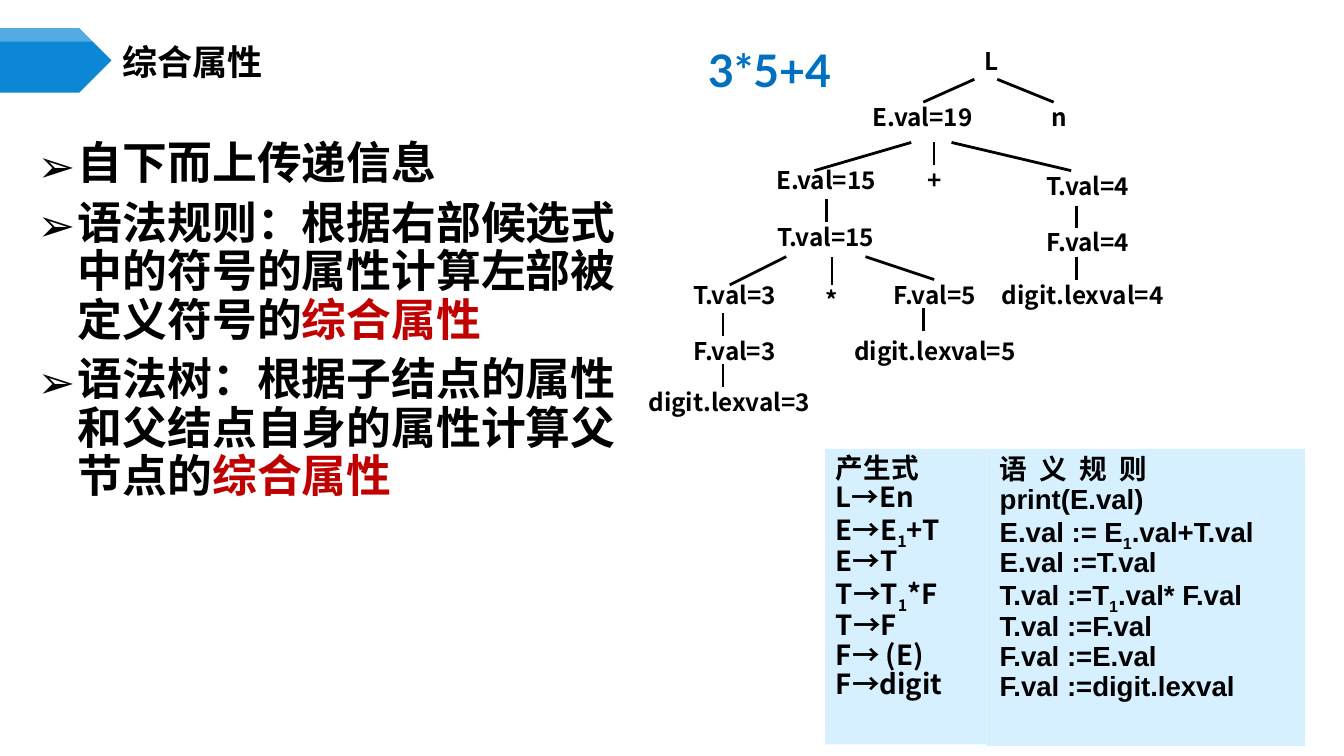
from lxml import etree
from pptx import Presentation
from pptx.dml.color import RGBColor
from pptx.enum.shapes import MSO_CONNECTOR, MSO_SHAPE
from pptx.enum.text import MSO_ANCHOR, PP_ALIGN
from pptx.oxml.ns import qn
from pptx.util import Pt

PX = 4572
LINE = MSO_CONNECTOR.STRAIGHT
RECT = MSO_SHAPE.RECTANGLE
TOP, MID = MSO_ANCHOR.TOP, MSO_ANCHOR.MIDDLE
LEFT, MIDDLE = PP_ALIGN.LEFT, PP_ALIGN.CENTER
BLACK, RED, BLUE, PALE = "000000", "C00000", "0070C0", "D6F0FF"
SANS = "Noto Sans CJK SC"


def hue(code):
    return RGBColor.from_string(code)


def write(box, rows, size, font, pad=(20, 10), anchor=TOP, align=LEFT,
          wrap=True, space=None, indent=0, bullet=None, color=BLACK, gap=0,
          asian=None):
    frame = box.text_frame
    frame.word_wrap = wrap
    frame.vertical_anchor = anchor
    frame.margin_left = frame.margin_right = pad[0] * PX
    frame.margin_top = frame.margin_bottom = pad[1] * PX
    for i, row in enumerate(rows):
        para = frame.add_paragraph() if i else frame.paragraphs[0]
        para.alignment = align
        if space:
            para.line_spacing = space
        if i and gap:
            para.space_before = Pt(gap)
        props = para._p.get_or_add_pPr()
        if indent:
            props.set("marL", str(indent * PX))
            props.set("indent", str(-indent * PX))
        if bullet:
            tint = etree.SubElement(props, qn("a:buClr"))
            etree.SubElement(tint, qn("a:srgbClr")).set("val", BLACK)
            etree.SubElement(props, qn("a:buFont")).set("typeface", SANS)
            etree.SubElement(props, qn("a:buChar")).set("char", bullet)
        for text, look in row:
            run = para.add_run()
            run.text = text
            run.font.size = Pt(size)
            run.font.bold = True
            run.font.name = font
            run.font.color.rgb = hue(look.get("color", color))
            rpr = run._r.get_or_add_rPr()
            etree.SubElement(rpr, qn("a:ea")).set("typeface", asian or font)
            for key in ("baseline", "spc"):
                if key in look:
                    rpr.set(key, look[key])


deck = Presentation()
deck.slide_width, deck.slide_height = 2000 * PX, 1125 * PX
slide = deck.slides.add_slide(deck.slide_layouts[6])
shapes = slide.shapes

banners = [
    ("0B87D6", 100, [(0, 42), (118, 42), (166, 90), (118, 138), (0, 138)]),
    ("FFFFFF", 30, [(0, 42), (118, 42), (138, 62), (0, 62)]),
]
for color, alpha, dots in banners:
    path = shapes.build_freeform(*dots[0], scale=PX)
    path.add_line_segments(dots[1:], close=True)
    flag = path.convert_to_shape()
    flag.shadow.inherit = False
    flag.fill.solid()
    flag.fill.fore_color.rgb = hue(color)
    flag.line.fill.background()
    if alpha < 100:
        tint = flag._element.spPr.find(".//" + qn("a:srgbClr"))
        etree.SubElement(tint, qn("a:alpha")).set("val", str(alpha * 1000))

title = shapes.add_textbox(166 * PX, 58 * PX, 1734 * PX, 78 * PX)
write(title, [[("综合属性", {})]], 18.8, SANS, (16, 8), MID, space=0.8)

key = ("综合属性", {"color": RED})
points = [
    [("自下而上传递信息", {})],
    [("语法规则：根据右部候选式中的符号的属性计算左部被定义符号的", {}), key],
    [("语法树：根据子结点的属性和父结点自身的属性计算父节点的", {}), key],
]
body = shapes.add_textbox(40 * PX, 202 * PX, 892 * PX, 562 * PX)
write(body, points, 24, "Times New Roman", (16, 8), space=0.9, indent=60,
      bullet="➢", gap=6, asian=SANS)

edges = [
    (1076, 542, 1076, 576), (1076, 466, 1076, 500), (1374, 492, 1374, 458),
    (1086, 424, 1170, 382), (1238, 424, 1238, 382), (1288, 382, 1390, 416),
    (1230, 296, 1230, 330), (1602, 382, 1602, 416), (1602, 306, 1602, 340),
    (1356, 212, 1212, 254), (1390, 246, 1390, 212), (1416, 212, 1594, 254),
    (1374, 152, 1450, 118), (1484, 118, 1568, 152),
]
for edge in edges:
    link = shapes.add_connector(LINE, *[n * PX for n in edge])
    link.line.color.rgb = hue(BLACK)
    link.line.width = Pt(1.5)
    etree.SubElement(link._element.spPr, qn("a:effectLst"))

nodes = [
    ("L", 1424, 60), ("E.val=19", 1246, 144), ("n", 1526, 144),
    ("E.val=15", 1102, 238), ("+", 1340, 238), ("T.val=4", 1492, 246),
    ("T.val=15", 1102, 322), ("F.val=4", 1492, 330),
    ("T.val=3", 966, 408), ("*", 1186, 416), ("F.val=5", 1264, 408),
    ("digit.lexval=4", 1484, 408), ("F.val=3", 966, 492),
    ("digit.lexval=5", 1264, 492), ("digit.lexval=3", 958, 568),
]
for text, x, y in nodes:
    wide = 102 if len(text) == 1 else 254
    node = shapes.add_textbox(x * PX, y * PX, wide * PX, 60 * PX)
    write(node, [[(text, {})]], 13, "Noto Sans CJK JP", (0, 0), MID,
          MIDDLE, wrap=False)

sample = shapes.add_textbox(1034 * PX, 54 * PX, 226 * PX, 100 * PX)
write(sample, [[("3*5+4", {})]], 24, "Lato", wrap=False, color=BLUE)

sub = ("1", {"baseline": "-25000"})
rules = [
    [("产生式", {})], [("L→En", {})], [("E→E", {}), sub, ("+T", {})],
    [("E→T", {})], [("T→T", {}), sub, ("*F", {})], [("T→F", {})],
    [("F→ (E)", {})], [("F→digit", {})],
]
acts = [
    [("语义规则", {"spc": "670"})], [("print(E.val)", {})],
    [("E.val := E", {}), sub, (".val+T.val", {})], [("E.val :=T.val", {})],
    [("T.val :=T", {}), sub, (".val* F.val", {})], [("T.val :=F.val", {})],
    [("F.val :=E.val", {})], [("F.val :=digit.lexval", {})],
]
panels = [
    (1228, 240, 440, rules, SANS, (16, 8)),
    (1468, 474, 442, acts, "Arial", (20, 10)),
]
for x, wide, high, rows, font, pad in panels:
    panel = shapes.add_shape(RECT, x * PX, 668 * PX, wide * PX, high * PX)
    panel.shadow.inherit = False
    panel.fill.solid()
    panel.fill.fore_color.rgb = hue(PALE)
    panel.line.fill.background()
    write(panel, rows, 14.8, font, pad, space=0.9, indent=76)

deck.save("out.pptx")
